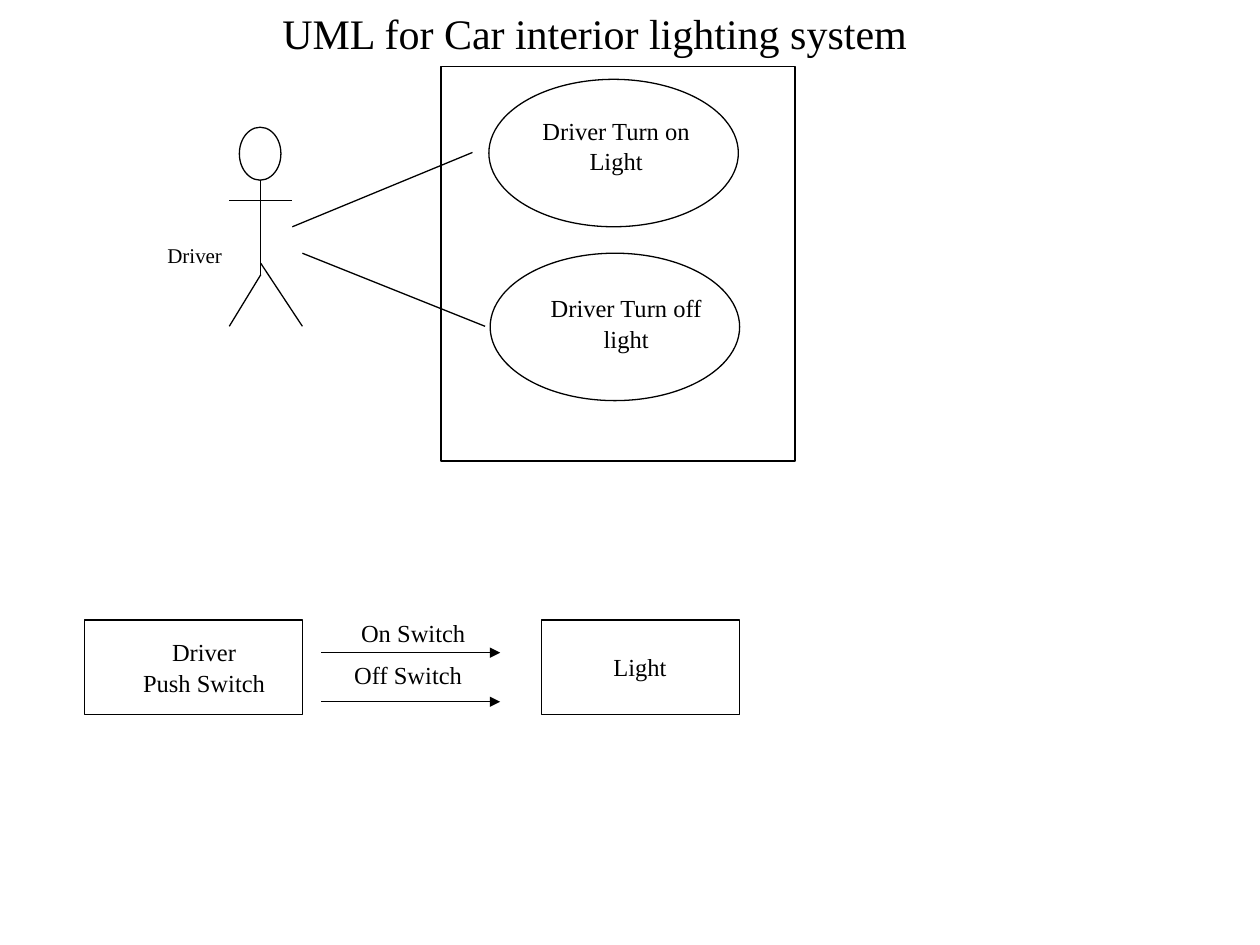
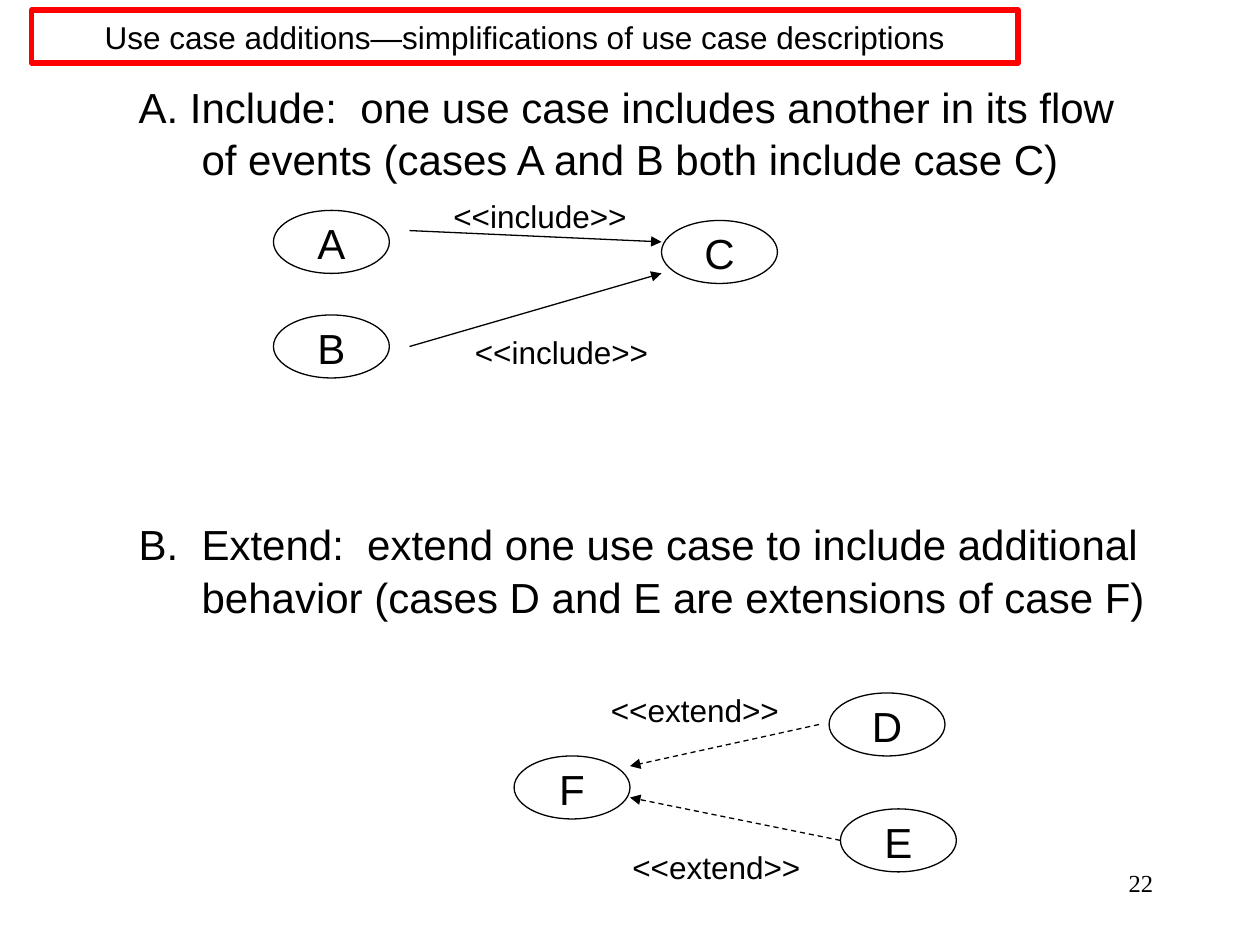
from lxml import etree
from pptx import Presentation
from pptx.dml.color import RGBColor
from pptx.enum.dml import MSO_LINE
from pptx.enum.shapes import MSO_CONNECTOR, MSO_SHAPE
from pptx.enum.text import MSO_ANCHOR, MSO_AUTO_SIZE, PP_ALIGN
from pptx.oxml.ns import qn
from pptx.util import Inches, Pt

BLACK, WHITE, RED = "000000", "FFFFFF", "FF0000"
SERIF, SANS = "Times New Roman", "Arial"
LEFT, CENTER, RIGHT = PP_ALIGN.LEFT, PP_ALIGN.CENTER, PP_ALIGN.RIGHT
TITLE_ONLY, TITLE_AND_BODY = 5, 1
LINE_WIDTH = 0.75
LINE_SPACING = 1.04
OVAL, RECTANGLE = MSO_SHAPE.OVAL, MSO_SHAPE.RECTANGLE


def color(hex_string):
    return RGBColor.from_string(hex_string)


class Sketch:
    def __init__(self, deck):
        self.deck = deck
        self.page = None
        self.font = SERIF

    def start(self, layout, font):
        self.page = self.deck.slides.add_slide(self.deck.slide_layouts[layout])
        self.font = font

    def place(self, shape, area):
        shape.left, shape.top, shape.width, shape.height = map(Inches, area)

    def outline(self, shape, hex_string=BLACK, width=LINE_WIDTH):
        shape.line.color.rgb = color(hex_string)
        shape.line.width = Pt(width)

    def set_text(self, shape, text, size, align=LEFT, anchor=MSO_ANCHOR.TOP, wrap=True):
        frame = shape.text_frame
        frame.text = text
        frame.word_wrap = wrap
        frame.auto_size = MSO_AUTO_SIZE.NONE
        frame.vertical_anchor = anchor
        for para in frame.paragraphs:
            para.alignment = align
            para.line_spacing = LINE_SPACING
            para.space_before = Pt(0)
            for span in para.runs:
                span.font.name = self.font
                span.font.size = Pt(size)
                span.font.color.rgb = color(BLACK)

    def title(self, area, text, size, **options):
        box = self.page.shapes.title
        self.place(box, area)
        self.set_text(box, text, size, **options)
        return box

    def body(self, area, items, size, gap):
        box = self.page.placeholders[1]
        self.place(box, area)
        self.set_text(box, "\n".join(items), size)
        for para in box.text_frame.paragraphs:
            properties = para._p.get_or_add_pPr()
            properties.set("marL", str(Inches(1)))
            properties.set("indent", str(Inches(-0.5)))
        first, second = box.text_frame.paragraphs
        second.space_before = Pt(gap)
        etree.SubElement(first._p.pPr, qn("a:buNone"))
        etree.SubElement(second._p.pPr, qn("a:buFont"), typeface=self.font)
        etree.SubElement(second._p.pPr, qn("a:buAutoNum"), type="alphaUcPeriod", startAt="2")

    def label(self, area, text, size, align=CENTER):
        box = self.page.shapes.add_textbox(*map(Inches, area))
        self.set_text(box, text, size, align)

    def figure(self, kind, area, fill=None, parent=None):
        shape = (parent or self.page).shapes.add_shape(kind, *map(Inches, area))
        shape.shadow.inherit = False
        if fill:
            shape.fill.solid()
            shape.fill.fore_color.rgb = color(fill)
        else:
            shape.fill.background()
        self.outline(shape)
        return shape

    def use_case(self, left, top, name):
        oval = self.figure(OVAL, (left, top, 0.92, 0.5), WHITE)
        self.set_text(oval, name, 24, CENTER, MSO_ANCHOR.MIDDLE, False)

    def line(self, start, end, arrow=False, dashed=False, parent=None):
        link = (parent or self.page).shapes.add_connector(
            MSO_CONNECTOR.STRAIGHT, *map(Inches, start + end))
        self.outline(link)
        if dashed:
            link.line.dash_style = MSO_LINE.DASH
        if arrow:
            etree.SubElement(link.line._get_or_add_ln(), qn("a:tailEnd"), type="triangle")
        etree.SubElement(link._element.spPr, qn("a:effectLst"))

    def actor(self):
        group = self.page.shapes.add_group_shape()
        self.figure(OVAL, (1.9, 1.01, 0.33, 0.42), parent=group)
        spine, hip = 2.07, 2.18
        for start, end in (
            ((spine, 1.43), (spine, hip)),
            ((1.82, 1.59), (2.32, 1.59)),
            ((spine, hip), (1.82, 2.59)),
            ((spine, 2.09), (2.4, 2.59)),
        ):
            self.line(start, end, parent=group)


def build_lighting(sketch):
    sketch.start(TITLE_ONLY, SERIF)
    sketch.title((2.14, -0.01, 5.17, 0.5), "UML for Car interior lighting system", 24, wrap=False)
    sketch.figure(RECTANGLE, (3.5, 0.53, 2.81, 3.13), WHITE)
    sketch.actor()
    sketch.label((1.23, 1.87, 0.67, 0.3), "Driver", 12, LEFT)

    for oval_left, oval_top, text_left, text_top, text in (
        (3.88, 0.63, 3.85, 0.86, "Driver Turn on\nLight"),
        (3.89, 2.01, 3.93, 2.27, "Driver Turn off\nlight"),
    ):
        sketch.figure(OVAL, (oval_left, oval_top, 1.98, 1.17))
        sketch.label((text_left, text_top, 2.08, 0.57), text, 14)
    sketch.line((2.32, 1.8), (3.75, 1.21))
    sketch.line((3.85, 2.59), (2.4, 2.01))

    for left, width, text_left, text_top, text in (
        (0.67, 1.73, 0.92, 5, "Driver\nPush Switch"),
        (4.3, 1.57, 4.38, 5.12, "Light"),
    ):
        sketch.figure(RECTANGLE, (left, 4.92, width, 0.75))
        sketch.label((text_left, text_top, 1.4, 0.57), text, 14)

    for text_left, text_top, arrow_top, text in (
        (2.55, 4.85, 5.18, "On Switch"),
        (2.51, 5.18, 5.57, "Off Switch"),
    ):
        sketch.line((2.55, arrow_top), (3.97, arrow_top), arrow=True)
        sketch.label((text_left, text_top, 1.46, 0.34), text, 14)


def build_additions(sketch):
    sketch.start(TITLE_AND_BODY, SANS)
    banner = sketch.title(
        (0.25, 0.08, 7.83, 0.42),
        "Use case additions—simplifications of use case descriptions",
        18, align=CENTER, anchor=MSO_ANCHOR.MIDDLE)
    sketch.outline(banner, RED, 3)
    sketch.body((0.5, 0.58, 8.75, 6.17), (
        "A. Include:  one use case includes another in its flow of events "
        "(cases A and B both include case C)",
        "Extend:  extend one use case to include additional behavior "
        "(cases D and E are extensions of case F)",
    ), 24, gap=190)

    for left, top, name in (
        (2.17, 1.67, "A"), (2.17, 2.5, "B"), (5.25, 1.75, "C"),
        (6.58, 5.5, "D"), (6.67, 6.42, "E"), (4.08, 6, "F"),
    ):
        sketch.use_case(left, top, name)

    for start, end, left, top, relation in (
        ((3.25, 1.83), (5.25, 1.92), 3.5, 1.5, "include"),
        ((3.25, 2.75), (5.25, 2.17), 3.67, 2.58, "include"),
        ((6.5, 5.75), (5, 6.08), 4.75, 5.42, "extend"),
        ((6.67, 6.67), (5, 6.33), 4.92, 6.67, "extend"),
    ):
        sketch.line(start, end, arrow=True, dashed=relation == "extend")
        sketch.label((left, top, 1.67, 0.4), f"<<{relation}>>", 18, LEFT)

    sketch.font = SERIF
    sketch.label((7.17, 6.83, 2.08, 0.5), "22", 14, RIGHT)


def main():
    deck = Presentation()
    deck.slide_width, deck.slide_height = Inches(10), Inches(7.5)
    sketch = Sketch(deck)
    build_lighting(sketch)
    build_additions(sketch)
    deck.save("out.pptx")


if __name__ == "__main__":
    main()
